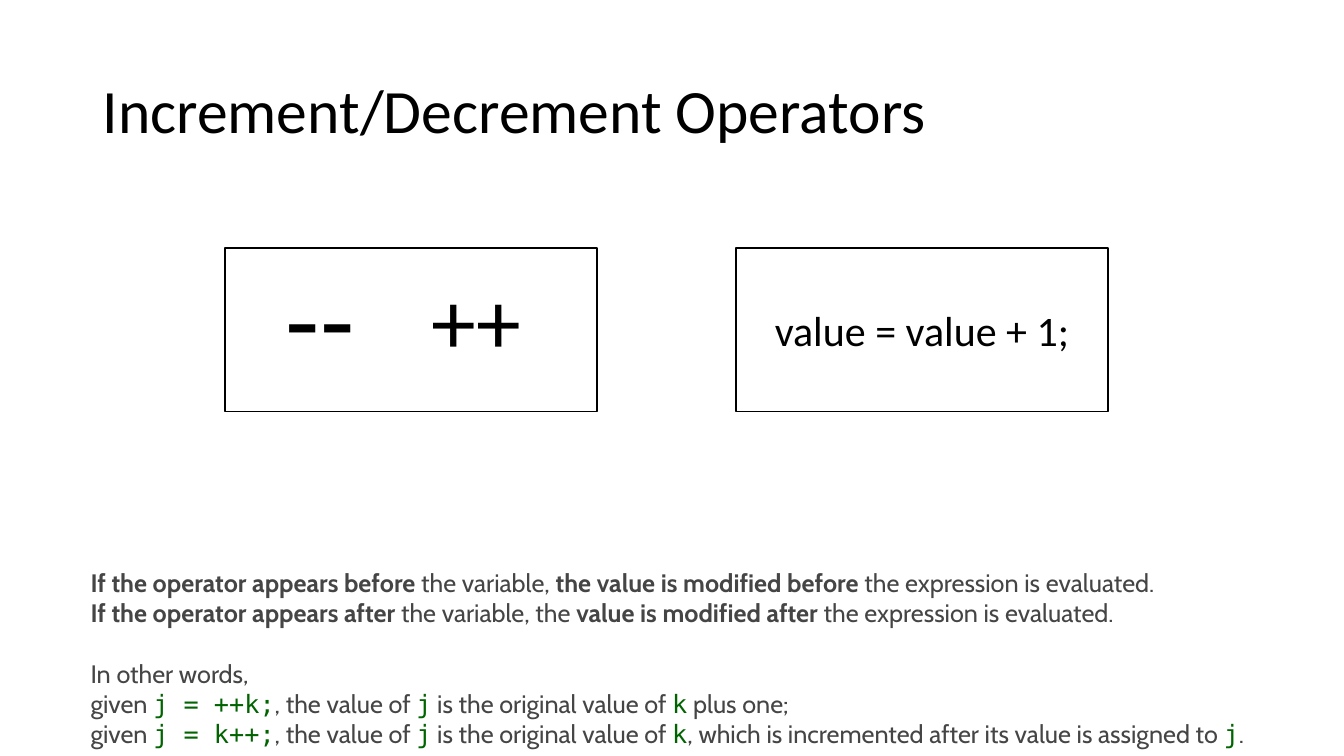
from pptx import Presentation
from pptx import util as u
from pptx.dml.color import RGBColor
from pptx.enum import shapes, text


def color(hex_code):
    return RGBColor.from_string(hex_code)


class OperatorSlide:
    INK, PAPER, GREY, GREEN = "000000", "FFFFFF", "454545", "006400"
    HEADING_FONT, BODY_FONT, CODE_FONT = "Calibri", "Cabin", "DejaVu Sans Mono"

    def __init__(self, deck):
        self.slide = deck.slides.add_slide(deck.slide_layouts[6])

    def style(self, paragraph, size, font, ink):
        paragraph.font.size = u.Pt(size)
        paragraph.font.name = font
        paragraph.font.color.rgb = color(ink)

    def box(self, left, top, width, height, outlined=False):
        rect = self.slide.shapes.add_shape(
            shapes.MSO_SHAPE.RECTANGLE, *map(u.Inches, (left, top, width, height)))
        rect.shadow.inherit = False
        rect.fill.solid()
        rect.fill.fore_color.rgb = color(self.PAPER)
        if outlined:
            rect.line.color.rgb = color(self.INK)
            rect.line.width = u.Pt(1)
        else:
            rect.line.fill.background()
        return rect

    def label(self, box, wording, size, anchor=text.MSO_ANCHOR.MIDDLE,
              line_spacing=1.0, before=0):
        """Write one centred line of text in a box."""
        box.text_frame.vertical_anchor = anchor
        line = box.text_frame.paragraphs[0]
        line.text = wording
        line.alignment = text.PP_ALIGN.CENTER
        line.line_spacing = line_spacing
        line.space_before = u.Pt(before)
        self.style(line, size, self.HEADING_FONT, self.INK)

    def text_box(self, left, top, width, height):
        frame = self.slide.shapes.add_textbox(
            *map(u.Inches, (left, top, width, height))).text_frame
        frame.word_wrap = True
        return frame

    def title(self, wording):
        frame = self.text_box(0.92, 0.4, 11.5, 1.45)
        frame.vertical_anchor = text.MSO_ANCHOR.MIDDLE
        heading = frame.paragraphs[0]
        heading.text = wording
        heading.line_spacing = 0.9
        self.style(heading, 44, self.HEADING_FONT, self.INK)

    def explanation(self, lines, gap_before):
        """Write lines where *...* is bold and `...` is code."""
        frame = self.text_box(0.8, 5.58, 12.53, 1.92)
        for number, line in enumerate(lines):
            paragraph = frame.add_paragraph() if number else frame.paragraphs[0]
            self.style(paragraph, 18, self.BODY_FONT, self.GREY)
            if number == gap_before:
                paragraph.space_before = u.Pt(21.6)
            mark = "`" if "`" in line else "*"
            for position, part in enumerate(line.split(mark)):
                if not part:
                    continue
                run = paragraph.add_run()
                run.text = part
                if position % 2 and mark == "*":
                    run.font.bold = True
                elif position % 2:
                    run.font.name = self.CODE_FONT
                    run.font.color.rgb = color(self.GREEN)


def main():
    deck = Presentation()
    deck.slide_width, deck.slide_height = u.Inches(13.33), u.Inches(7.5)
    page = OperatorSlide(deck)

    page.box(2.23, 2.46, 3.69, 1.62, outlined=True)
    page.title("Increment/Decrement Operators")
    for left, operator, size, anchor in (
            (3.95, "++", 64, text.MSO_ANCHOR.MIDDLE),
            (2.4, "--", 80, text.MSO_ANCHOR.TOP)):
        page.label(page.box(left, 2.67, 1.55, 1.18), operator, size, anchor,
                   line_spacing=0.8, before=10)
    page.explanation([
        "*If the operator appears before* the variable, "
        "*the value is modified before* the expression is evaluated.",
        "*If the operator appears after* the variable, the "
        "*value is modified after* the expression is evaluated.",
        "In other words,",
        "given `j = ++k;`, the value of `j` is the original value of `k` plus one;",
        "given `j = k++;`, the value of `j` is the original value of `k`, "
        "which is incremented after its value is assigned to `j`.",
    ], gap_before=2)
    page.label(page.box(7.3, 2.46, 3.69, 1.62, outlined=True),
               "value = value + 1;", 30)

    deck.save("out.pptx")


if __name__ == "__main__":
    main()
